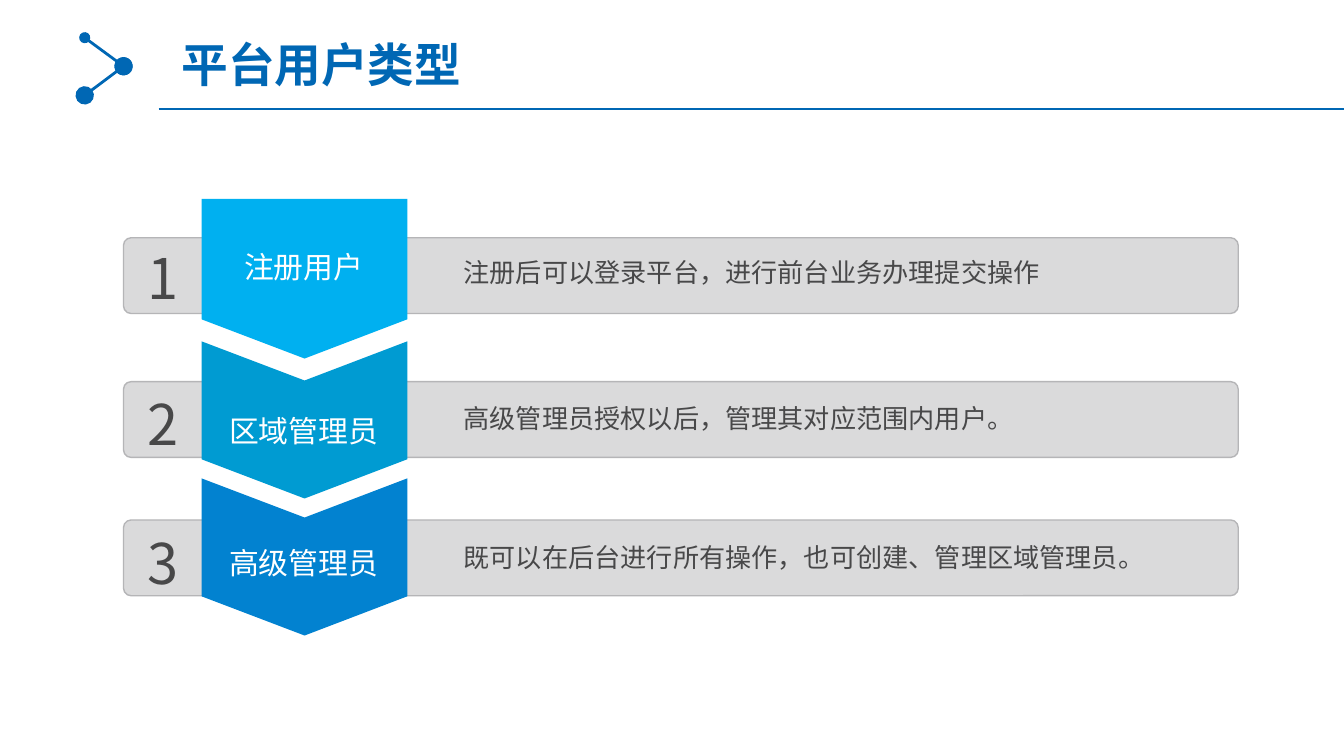
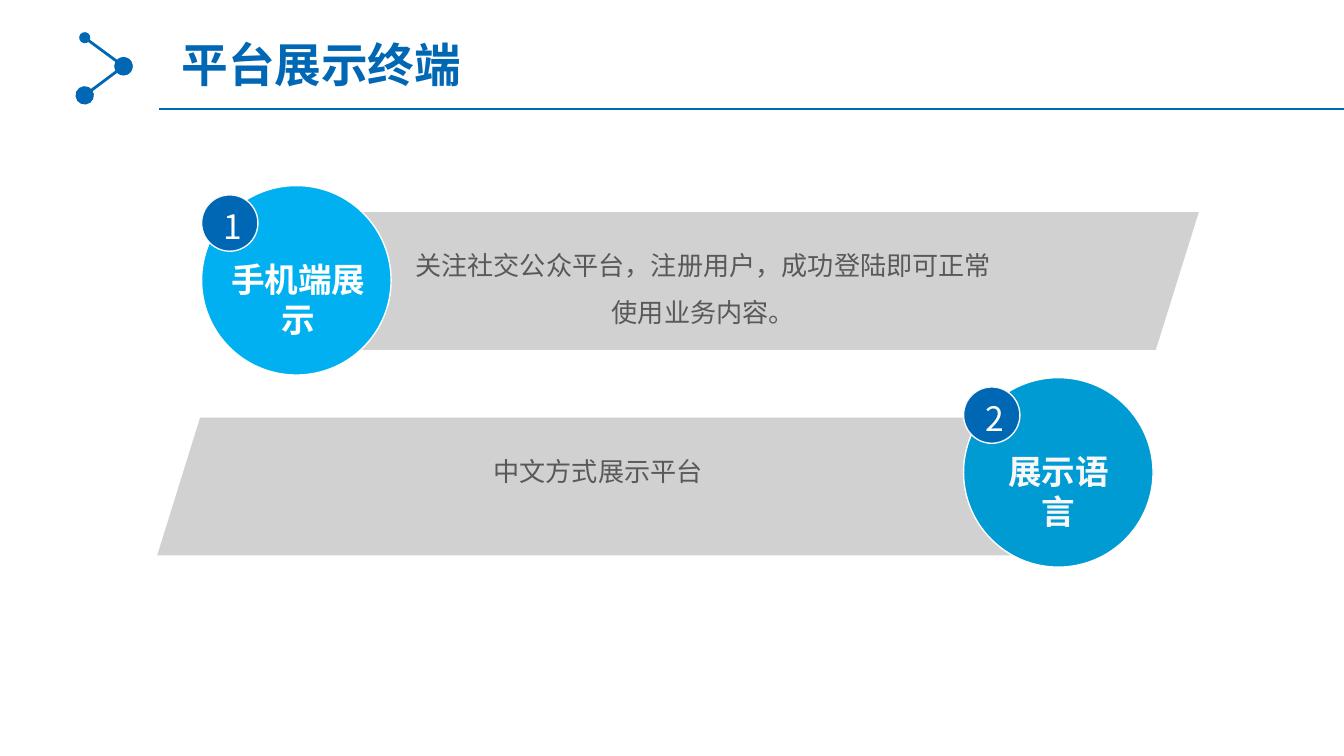
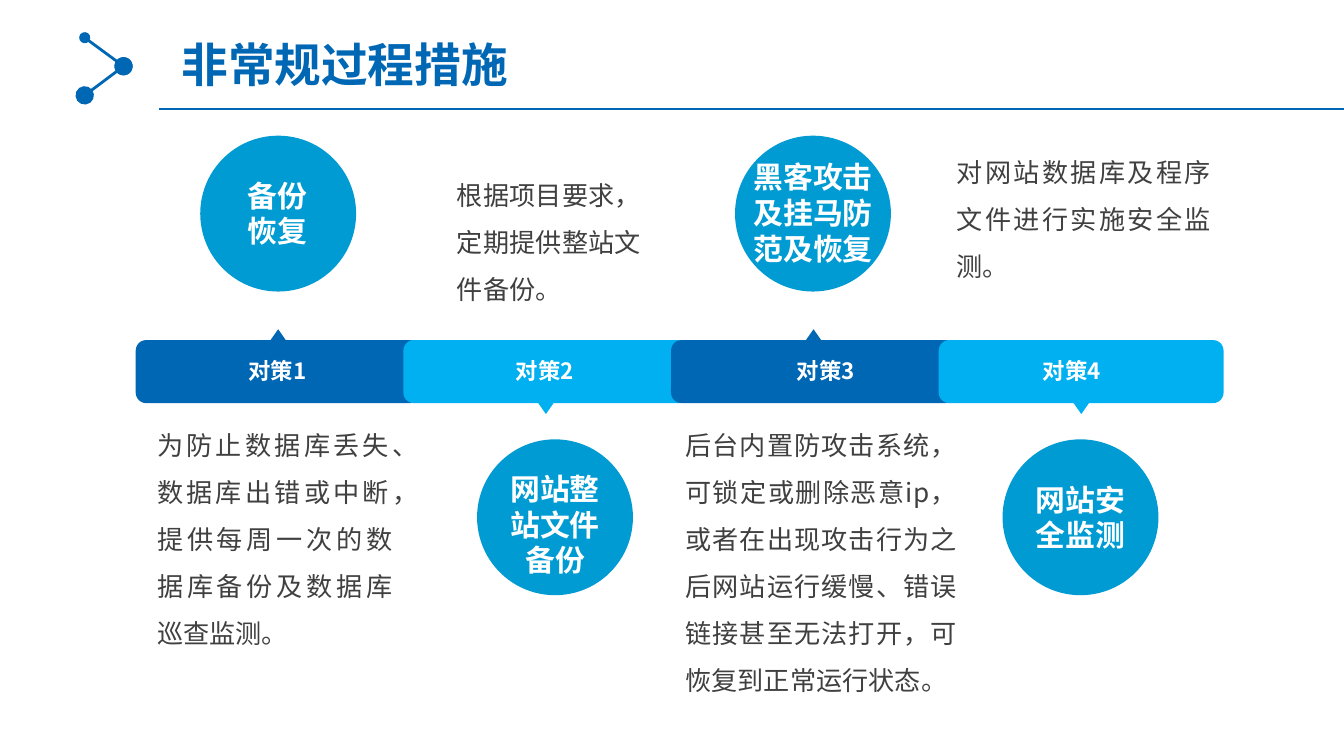
"""Build three slides on platform users, display terminals and safety measures."""
import pptx
import pptx.dml.color
import pptx.enum.shapes
import pptx.enum.text
import pptx.oxml.ns
import pptx.util
from lxml import etree

Pt = pptx.util.Pt
SHAPE = pptx.enum.shapes.MSO_SHAPE
ALIGN = pptx.enum.text.PP_ALIGN
FONT = "Noto Sans CJK SC"
COLORS = {
    "navy": "0067B4", "blue": "0282D0", "teal": "009BD2", "sky": "00B0F0",
    "bar": "DADADB", "bar_edge": "B5B5B7", "band": "D1D1D1",
    "white": "FFFFFF", "pale": "F8F8F8",
    "dark": "484849", "gray": "595959", "body": "404040",
}

USERS_TITLE = "平台用户类型"
USERS = [
    {"name": "注册用户", "text": "注册后可以登录平台，进行前台业务办理提交操作", "color": "sky",
     "bar": 127.4, "arrow": 106.6, "height": 85.5, "notch": 0,
     "number_top": 127.4, "name_top": 130.3, "text_top": 134.6},
    {"name": "区域管理员", "text": "高级管理员授权以后，管理其对应范围内用户。", "color": "teal",
     "bar": 204.5, "arrow": 182.9, "height": 84.2, "notch": 21,
     "number_top": 205.9, "name_top": 218.2, "text_top": 212.4},
    {"name": "高级管理员", "text": "既可以在后台进行所有操作，也可创建、管理区域管理员。", "color": "blue",
     "bar": 278.6, "arrow": 256.3, "height": 84.2, "notch": 21,
     "number_top": 280.1, "name_top": 288.7, "text_top": 287.3},
]

TERMINALS_TITLE = "平台展示终端"
TERMINALS = [
    {"name": "手机端展示", "text": "关注社交公众平台，注册用户，成功登陆即可正常使用业务内容。",
     "color": "sky", "ink": "white", "circle": (108, 99.4), "name_center": 159.8,
     "band": (159.1, 113.6, 483.1), "text_box": (221, 125.3, 311.8, 50.4)},
    {"name": "展示语言", "text": "中文方式展示平台",
     "color": "teal", "ink": "pale", "circle": (516.2, 202.3), "name_center": 567,
     "band": (84.2, 223.8, 498.2), "text_box": (159.1, 235.4, 322.6, 25.2)},
]

MEASURES_TITLE = "非常规过程措施"
MEASURES = [
    {"label": "对策1", "label_left": 101.5, "circle_left": 107.3,
     "name": "备份恢复", "name_box": (126.7, 95, 43.9, 39.6),
     "text": "为防止数据库丢失、数据库出错或中断，提供每周一次的数据库备份及数据库巡查监测。",
     "text_box": (84.2, 221.8, 126, 126)},
    {"label": "对策2", "label_left": 244.8, "circle_left": 255.6,
     "name": "网站整站文件备份", "name_box": (269.3, 252, 56.2, 59),
     "text": "根据项目要求，定期提供整站文件备份。",
     "text_box": (244.8, 87.8, 98.6, 75.6)},
    {"label": "对策3", "label_left": 395.3, "circle_left": 393.8,
     "name": "黑客攻击及挂马防范及恢复", "name_box": (398.9, 85, 73.4, 59),
     "text": "后台内置防攻击系统，可锁定或删除恶意ip，或者在出现攻击行为之后网站运行缓慢、"
             "错误链接甚至无法打开，可恢复到正常运行状态。",
     "text_box": (367.2, 221.8, 145.4, 151.2)},
    {"label": "对策4", "label_left": 527, "circle_left": 537.1,
     "name": "网站安全监测", "name_box": (552.2, 257.8, 53.3, 39.6),
     "text": "对网站数据库及程序文件进行实施安全监测。",
     "text_box": (512.6, 75.6, 136.1, 75.6)},
]


def rgb(name):
    return pptx.dml.color.RGBColor.from_string(COLORS[name])


def write(box, text, size, color, align=ALIGN.LEFT, bold=False, inset=(0, 0),
          wrap=True, spacing=None, font=FONT):
    frame = box.text_frame
    frame.word_wrap = wrap
    frame.auto_size = pptx.enum.text.MSO_AUTO_SIZE.NONE
    frame.vertical_anchor = pptx.enum.text.MSO_ANCHOR.TOP
    frame.margin_left = frame.margin_right = Pt(inset[0])
    frame.margin_top = frame.margin_bottom = Pt(inset[1])
    frame.text = text
    para = frame.paragraphs[0]
    para.alignment = align
    if spacing:
        para.line_spacing = spacing
    para.font.size = Pt(size)
    para.font.bold = bold
    para.font.name = font
    para.font.color.rgb = rgb(color)
    defaults = para._p.get_or_add_pPr().get_or_add_defRPr()
    etree.SubElement(defaults, pptx.oxml.ns.qn("a:ea"), typeface=FONT)


def add_text(page, place, text, size, color, **style):
    box = page.shapes.add_textbox(*map(Pt, place))
    write(box, text, size, color, **style)


def paint(shape, fill, line=None, width=0.75):
    shape.shadow.inherit = False
    shape.fill.solid()
    shape.fill.fore_color.rgb = rgb(fill)
    if line:
        shape.line.color.rgb = rgb(line)
        shape.line.width = Pt(width)
    else:
        shape.line.fill.background()


def add_shape(page, kind, place, fill, line=None, width=0.75):
    shape = page.shapes.add_shape(kind, *map(Pt, place))
    paint(shape, fill, line, width)
    return shape


def add_polygon(page, points, fill):
    corners = [(Pt(x), Pt(y)) for x, y in points]
    builder = page.shapes.build_freeform(*corners[0])
    builder.add_line_segments(corners[1:], close=True)
    paint(builder.convert_to_shape(), fill)


def add_line(page, start, end, width, head=None, tail=None):
    line = page.shapes.add_connector(
        pptx.enum.shapes.MSO_CONNECTOR.STRAIGHT, *map(Pt, start + end))
    line.line.color.rgb = rgb("navy")
    line.line.width = Pt(width)
    outline = line.line._get_or_add_ln()
    for tag, size in (("a:headEnd", head), ("a:tailEnd", tail)):
        if size:
            etree.SubElement(outline, pptx.oxml.ns.qn(tag), type="oval", w=size, len=size)
    etree.SubElement(line._element.spPr, pptx.oxml.ns.qn("a:effectLst"))


def add_page(deck, title):
    page = deck.slides.add_slide(deck.slide_layouts[5])
    box = page.shapes.title
    box.left, box.top = Pt(90), Pt(15.8)
    box.width, box.height = Pt(25 * len(title) + 14.4), Pt(38.9)
    write(box, title, 25, "navy", bold=True, inset=(7.2, 3.6), wrap=False, font="Arial")
    joint = (66.2, 35.5)
    add_line(page, (45.4, 20.2), joint, 1.5, "med", "lg")
    add_line(page, joint, (45.4, 51.1), 1.5, "lg", "lg")
    add_line(page, (85, 58.4), (720, 58.4), 1)
    return page


def add_users(deck):
    page = add_page(deck, USERS_TITLE)
    left, middle, right, tip = 108, 163.2, 218.2, 21
    for user in USERS:
        bar = add_shape(page, SHAPE.ROUNDED_RECTANGLE, (66.2, user["bar"], 597.2, 40.6),
                        "bar", "bar_edge", 0)
        bar.adjustments[0] = 0.1
    for number, user in enumerate(USERS, 1):
        top = user["arrow"]
        bottom = top + user["height"]
        add_polygon(page, [(left, top), (middle, top + user["notch"]), (right, top),
                           (right, bottom - tip), (middle, bottom), (left, bottom - tip)],
                    user["color"])
        add_text(page, (69.1, user["number_top"], 36, 41.8), str(number), 30, "dark",
                 align=ALIGN.CENTER, inset=(5, 2.9))
        add_text(page, (116.6, user["name_top"], 92.2, 25.9), user["name"], 16, "white",
                 align=ALIGN.CENTER, inset=(5, 2.9))
        add_text(page, (243.4, user["text_top"], 408.2, 23), user["text"], 14, "dark",
                 inset=(5, 2.9))


def add_terminals(deck):
    page = add_page(deck, TERMINALS_TITLE)
    slant, height = 23, 73.8
    for number, item in enumerate(TERMINALS, 1):
        x, y, width = item["band"]
        add_polygon(page, [(x + slant, y), (x + width, y),
                           (x + width - slant, y + height), (x, y + height)], "band")
        x, y = item["circle"]
        add_shape(page, SHAPE.OVAL, (x, y, 101.5, 101.5), item["color"], "white")
        add_shape(page, SHAPE.OVAL, (x, y + 5, 30.2, 30.2), "navy", "pale")
        add_text(page, (x + 4.3, y + 7.2, 25.2, 28.8), str(number), 18, "white",
                 align=ALIGN.CENTER, inset=(7.2, 3.6), wrap=False)
        width = 18 * len(item["name"]) + 6
        add_text(page, (item["name_center"] - width / 2, y + 36.5, width, 28), item["name"],
                 18, item["ink"], align=ALIGN.CENTER, bold=True, inset=(5, 2.9))
        add_text(page, item["text_box"], item["text"], 14, "gray",
                 align=ALIGN.CENTER, spacing=1.5)


def add_measures(deck):
    page = add_page(deck, MEASURES_TITLE)
    for index, item in enumerate(MEASURES):
        below = index % 2 == 1
        color = "sky" if below else "navy"
        left = 72.7 + 143.4 * index
        add_shape(page, SHAPE.ROUNDED_RECTANGLE, (left, 182.2, 152.6, 33.8), color)
        pointer = add_shape(page, SHAPE.ISOSCELES_TRIANGLE,
                            (left + 71.3, 214.6 if below else 176.4, 10.1, 7.2), color)
        pointer.rotation = 180 if below else 0
        add_shape(page, SHAPE.OVAL,
                  (item["circle_left"], 235.4 if below else 72.7, 83.5, 83.5), "teal")
    for item in MEASURES:
        add_text(page, (item["label_left"], 191.5, 94.3, 14.4), item["label"], 12, "white",
                 align=ALIGN.CENTER, bold=True)
        add_text(page, item["name_box"], item["name"], 16, "white",
                 align=ALIGN.CENTER, bold=True)
        add_text(page, item["text_box"], item["text"], 14, "body",
                 align=ALIGN.JUSTIFY, spacing=1.5)


def main():
    deck = pptx.Presentation()
    deck.slide_width, deck.slide_height = Pt(720), Pt(405)
    add_users(deck)
    add_terminals(deck)
    add_measures(deck)
    deck.save("out.pptx")


if __name__ == "__main__":
    main()
